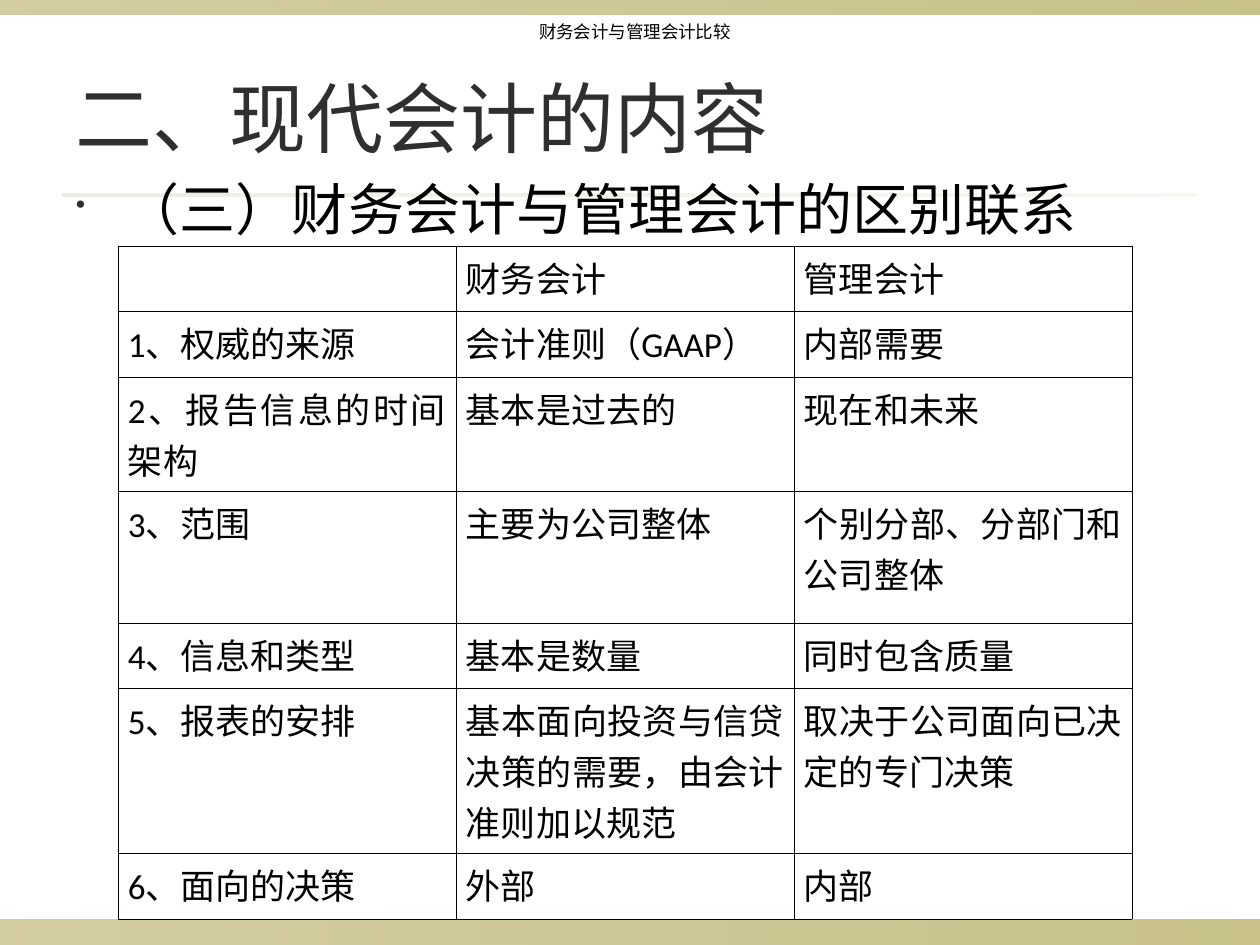
from dataclasses import dataclass

from lxml import etree
from pptx import Presentation
from pptx import util as u
from pptx.dml.color import RGBColor
from pptx.enum import shapes, text
from pptx.oxml import ns

PX = 914400 / 126


@dataclass(frozen=True)
class Theme:
    band: str = "918415"
    rule: str = "DCD9CC"
    heading: str = "2F2F2F"
    ink: str = "000000"
    display_font: str = "Cabin"
    body_font: str = "Calibri"
    title_size: int = 44
    subtitle_size: int = 32
    cell_size: int = 20
    caption_size: int = 10
    border_width: float = 0.45


THEME = Theme()

ROWS = [
    (65, ("", "财务会计", "管理会计")),
    (66, ("1、权威的来源", "会计准则（GAAP）", "内部需要")),
    (114, ("2、报告信息的时间架构", "基本是过去的", "现在和未来")),
    (132, ("3、范围", "主要为公司整体", "个别分部、分部门和公司整体")),
    (65, ("4、信息和类型", "基本是数量", "同时包含质量")),
    (165, ("5、报表的安排", "基本面向投资与信贷决策的需要，由会计准则加以规范",
           "取决于公司面向已决定的专门决策")),
    (66, ("6、面向的决策", "外部", "内部")),
]


def px(length):
    return u.Emu(round(length * PX))


def place(box):
    return [px(length) for length in box]


def add_element(parent, tag, **attributes):
    return etree.SubElement(parent, ns.qn(tag), attributes)


def add_span(para, wording, size, font, color):
    span = para.add_run()
    span.text = wording
    span.font.size = u.Pt(size)
    span.font.name = font
    span.font.color.rgb = RGBColor.from_string(color)


def add_text_box(page, box, anchor, wrap=True, left_inset=13):
    frame = page.shapes.add_textbox(*place(box)).text_frame
    frame.word_wrap = wrap
    frame.vertical_anchor = anchor
    frame.margin_left = px(left_inset)
    return frame


def add_gradient_bar(page, box, color, opacities):
    bar = page.shapes.add_shape(shapes.MSO_SHAPE.RECTANGLE, *place(box))
    bar.shadow.inherit = False
    bar.line.fill.background()
    bar.fill.gradient()
    bar.fill.gradient_angle = 0
    for stop in bar.fill.gradient_stops:
        stop.color.rgb = RGBColor.from_string(color)
    colors = bar._element.spPr.iter(ns.qn("a:srgbClr"))
    for element, opacity in zip(colors, opacities):
        add_element(element, "a:alpha", val=str(opacity * 1000))


def add_backdrop(page, box):
    left, top, width, height = box
    add_gradient_bar(page, (left, top + height - 25, width, 25), THEME.band, (40, 50))
    add_gradient_bar(page, (left, top, width, 15), THEME.band, (40, 50))
    add_gradient_bar(page, (left + 63, top + 194, width - 126, 3), THEME.rule, (50, 20))


def add_title(page, box):
    frame = add_text_box(page, box, text.MSO_ANCHOR.MIDDLE)
    add_span(frame.paragraphs[0], "二、现代会计的内容",
             THEME.title_size, THEME.display_font, THEME.heading)


def add_subtitle(page, box):
    para = add_text_box(page, box, text.MSO_ANCHOR.TOP).paragraphs[0]
    properties = para._p.get_or_add_pPr()
    properties.set("marL", str(px(48)))
    properties.set("indent", str(-px(48)))
    bullet_color = add_element(properties, "a:buClr")
    add_element(bullet_color, "a:srgbClr", val=THEME.heading)
    add_element(properties, "a:buSzPct", val="50000")
    add_element(properties, "a:buChar", char="•")
    add_span(para, "（三）财务会计与管理会计的区别联系",
             THEME.subtitle_size, THEME.display_font, THEME.ink)


def add_borders(cell):
    properties = cell._tc.get_or_add_tcPr()
    for index, side in enumerate(("a:lnL", "a:lnR", "a:lnT", "a:lnB")):
        line = add_element(properties, side, w=str(u.Pt(THEME.border_width)))
        fill = add_element(line, "a:solidFill")
        add_element(fill, "a:srgbClr", val=THEME.ink)
        properties.insert(index, line)


def fill_cell(cell, wording):
    cell.fill.background()
    cell.margin_left = cell.margin_right = px(10)
    cell.margin_top = cell.margin_bottom = px(6)
    add_borders(cell)
    para = cell.text_frame.paragraphs[0]
    para.alignment = text.PP_ALIGN.JUSTIFY
    if wording:
        add_span(para, wording, THEME.cell_size, THEME.body_font, THEME.ink)


def add_comparison(page, box):
    count = len(ROWS[0][1])
    table = page.shapes.add_table(len(ROWS), count, *place(box)).table
    table.first_row = False
    table.horz_banding = False
    for column in table.columns:
        column.width = px(box[2] // count)
    for row, (height, wordings) in zip(table.rows, ROWS):
        row.height = px(height)
        for cell, wording in zip(row.cells, wordings):
            fill_cell(cell, wording)


def add_caption(page, box):
    frame = add_text_box(page, box, text.MSO_ANCHOR.MIDDLE, wrap=False, left_inset=24)
    frame.auto_size = text.MSO_AUTO_SIZE.SHAPE_TO_FIT_TEXT
    add_span(frame.paragraphs[0], "财务会计与管理会计比较",
             THEME.caption_size, THEME.body_font, THEME.ink)


def main():
    deck = Presentation()
    deck.slide_width, deck.slide_height = px(1260), px(945)
    page = deck.slides.add_slide(deck.slide_layouts[6])
    add_backdrop(page, (0, 0, 1260, 945))
    add_title(page, (63, 38, 1134, 157))
    add_subtitle(page, (63, 168, 1134, 699))
    add_comparison(page, (118, 246, 1014, 673))
    add_caption(page, (515, 15, 230, 34))
    deck.save("out.pptx")


if __name__ == "__main__":
    main()
